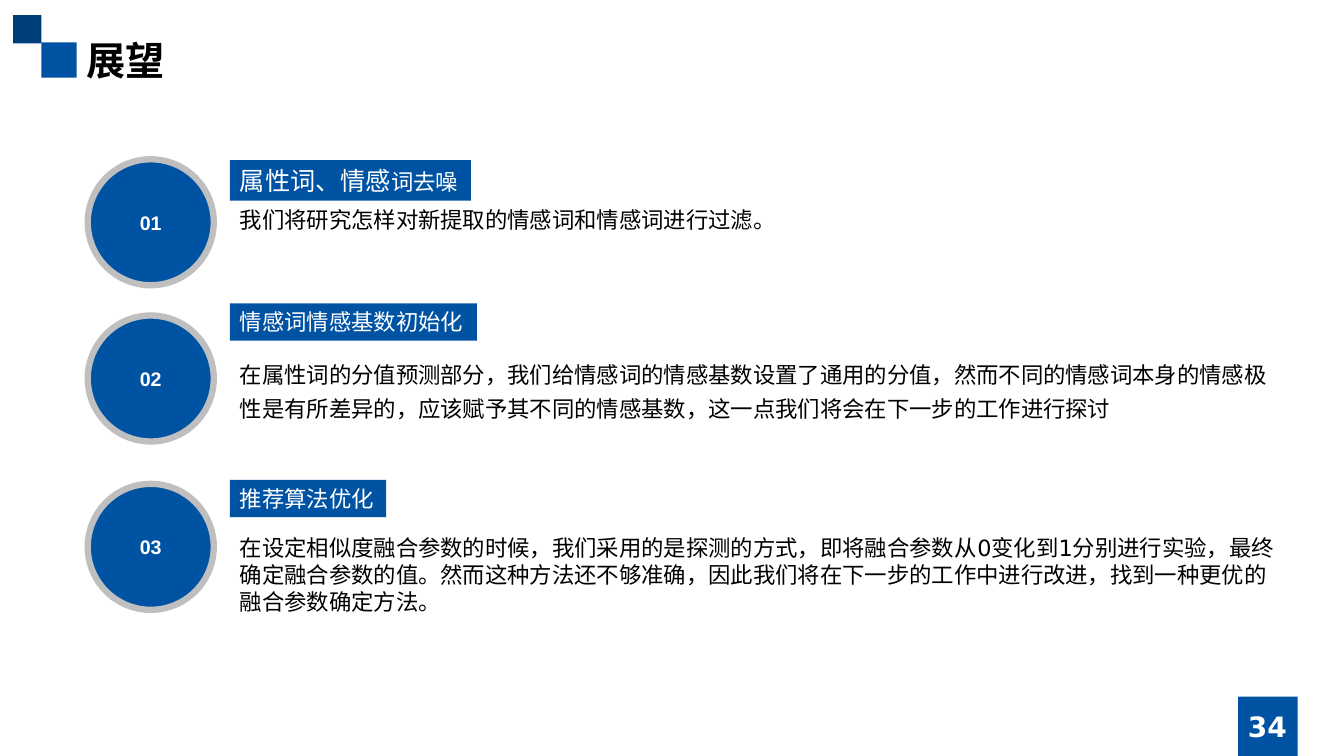
from dataclasses import dataclass

from lxml.etree import SubElement
from pptx import Presentation
from pptx.dml.color import RGBColor
from pptx.enum.shapes import MSO_SHAPE
from pptx.enum.text import MSO_ANCHOR, MSO_AUTO_SIZE, PP_ALIGN
from pptx.oxml.ns import qn
from pptx.util import Inches, Pt


@dataclass(frozen=True)
class Theme:
    blue: RGBColor = RGBColor(0x00, 0x53, 0xA3)
    navy: RGBColor = RGBColor(0x00, 0x3E, 0x7A)
    ring: RGBColor = RGBColor(0xBF, 0xBF, 0xBF)
    black: RGBColor = RGBColor(0, 0, 0)
    white: RGBColor = RGBColor(0xFF, 0xFF, 0xFF)
    cjk: str = "Noto Sans CJK SC"
    sans: str = "DejaVu Sans"
    badge_font: str = "Arial"
    title: int = 28
    number: int = 20
    lead: int = 18
    body: int = 16
    badge: int = 14


T = Theme()

# Outlook items: circle top, tag (top, width, height, runs), body (top, height, spacing, text)
ITEMS = [
    (1.58, (1.59, 2.39, 0.4, [("属性词、情感", T.lead), ("词去噪", T.body)]),
     (2, 0.37, 1, "我们将研究怎样对新提取的情感词和情感词进行过滤。")),
    (3.13, (3.01, 2.45, 0.37, [("情感词情感基数初始化", T.body)]),
     (3.47, 0.77, 1.25,
      "在属性词的分值预测部分，我们给情感词的情感基数设置了通用的分值，"
      "然而不同的情感词本身的情感极性是有所差异的，应该赋予其不同的情感基数，"
      "这一点我们将会在下一步的工作进行探讨")),
    (4.8, (4.76, 1.55, 0.37, [("推荐算法优化", T.body)]),
     (5.25, 0.91, 1,
      "在设定相似度融合参数的时候，我们采用的是探测的方式，"
      "即将融合参数从0变化到1分别进行实验，最终确定融合参数的值。"
      "然而这种方法还不够准确，因此我们将在下一步的工作中进行改进，"
      "找到一种更优的融合参数确定方法。")),
]


def add_text(sp, runs, color, font=T.sans, bold=False, align=PP_ALIGN.LEFT,
             anchor=MSO_ANCHOR.TOP, wrap=True, spacing=1):
    tf = sp.text_frame
    tf.word_wrap = wrap
    tf.auto_size = MSO_AUTO_SIZE.NONE
    tf.vertical_anchor = anchor
    p = tf.paragraphs[0]
    p.alignment = align
    p.line_spacing = spacing
    for text, size in runs:
        r = p.add_run()
        r.text = text
        r.font.size = Pt(size)
        r.font.bold = bold
        r.font.color.rgb = color
        r.font.name = font
        SubElement(r.font._element, qn("a:ea")).set("typeface", T.cjk)


def add_box(s, kind, left, top, width, height, fill):
    sp = s.shapes.add_shape(kind, Inches(left), Inches(top), Inches(width), Inches(height))
    sp.shadow.inherit = False
    sp.fill.solid()
    sp.fill.fore_color.rgb = fill
    sp.line.fill.background()
    return sp


def add_textbox(s, left, top, width, height):
    return s.shapes.add_textbox(Inches(left), Inches(top), Inches(width), Inches(height))


def add_header(s, left, top, title):
    # Two squares touching at a corner, then the title
    small, large = 0.28, 0.35
    add_box(s, MSO_SHAPE.RECTANGLE, left + small, top + small - 0.01, large, large, T.blue)
    add_box(s, MSO_SHAPE.RECTANGLE, left, top, small, small, T.navy)
    sp = s.shapes.title
    sp.left, sp.top = Inches(left + small + large), Inches(top + 0.16)
    sp.width, sp.height = Inches(5.91), Inches(0.57)
    add_text(sp, [(title, T.title)], T.black, T.cjk, bold=True)


def add_page_number(s, left, top, side, number):
    add_box(s, MSO_SHAPE.RECTANGLE, left, top, side, side, T.blue)
    sp = add_textbox(s, left - 0.47, top + 0.1, 1.52, 0.4)
    add_text(sp, [(number, T.number)], T.white, bold=True,
             align=PP_ALIGN.CENTER, anchor=MSO_ANCHOR.MIDDLE)


def add_item(s, left, width, label, circle_top, tag, body):
    # Numbered circle
    sp = add_box(s, MSO_SHAPE.OVAL, left, circle_top, 1.25, 1.25, T.blue)
    sp.line.color.rgb = T.ring
    sp.line.width = Pt(4.5)
    add_text(sp, [(label, T.badge)], T.white, T.badge_font, bold=True,
             align=PP_ALIGN.CENTER, anchor=MSO_ANCHOR.MIDDLE)

    # Heading tag
    text_left = left + 1.41
    top, tag_width, height, runs = tag
    sp = add_box(s, MSO_SHAPE.RECTANGLE, text_left, top, tag_width, height, T.blue)
    add_text(sp, runs, T.white, wrap=False)

    # Explanation
    top, height, spacing, text = body
    sp = add_textbox(s, text_left, top, left + width - text_left, height)
    add_text(sp, [(text, T.body)], T.black, spacing=spacing)


def main():
    prs = Presentation()
    prs.slide_width, prs.slide_height = Inches(13.33), Inches(7.5)
    s = prs.slides.add_slide(prs.slide_layouts[5])
    add_header(s, 0.13, 0.15, "展望")
    add_page_number(s, 12.28, 6.91, 0.59, "34")
    for i, (circle_top, tag, body) in enumerate(ITEMS, 1):
        add_item(s, 0.87, 11.97, f"{i:02d}", circle_top, tag, body)
    prs.save("out.pptx")


if __name__ == "__main__":
    main()
